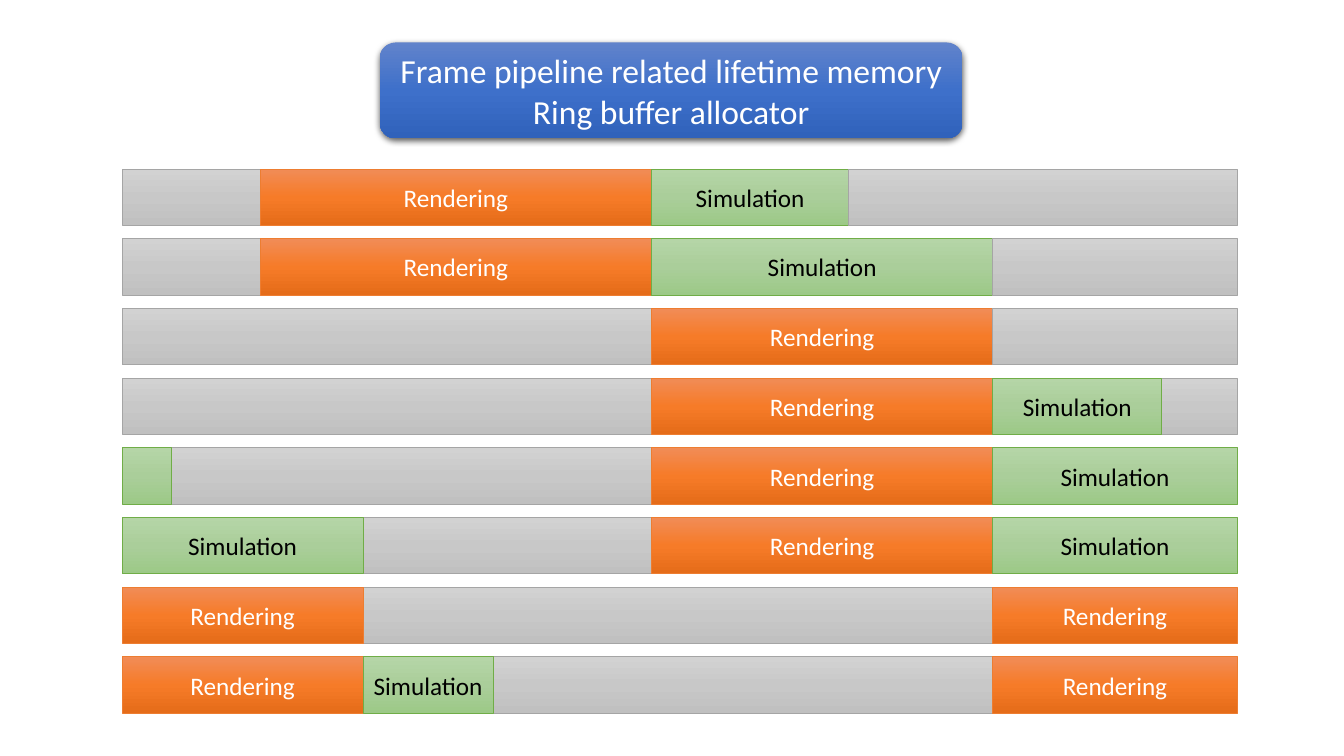
import copy

import pptx
import pptx.dml.color
import pptx.enum.shapes
import pptx.enum.text
import pptx.oxml
import pptx.oxml.ns
import pptx.util

Cm = pptx.util.Cm
FONT = "Calibri"

TITLE_LINES = ("Frame pipeline related lifetime memory", "Ring buffer allocator")
TITLE_BOX = (9.57, 1.07, 14.69, 2.42)
TITLE_GRADIENT = ("6183CB", "3E70CA", "3062BB")

# Kind of segment: label, gradient, outline, text colour
FREE = ("", ("D2D2D2", "C8C8C8", "C0C0C0"), "A5A5A5", "FFFFFF")
RENDERING = ("Rendering", ("F18C57", "F67B28", "E56C19"), "ED7D31", "FFFFFF")
SIMULATION = ("Simulation", ("B5D5A7", "AACE9A", "9CC987"), "70AD47", "000000")
WRAPPED = ("",) + SIMULATION[1:]

# Positions in the ring buffer where segments meet, in cm
START, WRAP_END, FIRST, SECOND, SECOND_PART = 3.08, 4.31, 6.56, 9.15, 12.43
MIDDLE, MIDDLE_PART, LATE, LATE_PART, END = 16.42, 21.39, 25.02, 29.28, 31.18

ROW_TOP, ROW_PITCH, ROW_HEIGHT = 4.26, 1.756, 1.42

# One row per moment, segments from back to front
ROWS = (
    ((FREE, START, FIRST), (RENDERING, FIRST, MIDDLE),
     (SIMULATION, MIDDLE, MIDDLE_PART), (FREE, MIDDLE_PART, END)),
    ((FREE, START, FIRST), (RENDERING, FIRST, MIDDLE),
     (SIMULATION, MIDDLE, LATE), (FREE, LATE, END)),
    ((FREE, START, MIDDLE), (RENDERING, MIDDLE, LATE), (FREE, LATE, END)),
    ((FREE, START, MIDDLE), (RENDERING, MIDDLE, LATE),
     (FREE, LATE_PART, END), (SIMULATION, LATE, LATE_PART)),
    ((FREE, WRAP_END, MIDDLE), (RENDERING, MIDDLE, LATE),
     (SIMULATION, LATE, END), (WRAPPED, START, WRAP_END)),
    ((FREE, SECOND, MIDDLE), (RENDERING, MIDDLE, LATE),
     (SIMULATION, LATE, END), (SIMULATION, START, SECOND)),
    ((FREE, SECOND, LATE), (RENDERING, LATE, END), (RENDERING, START, SECOND)),
    ((FREE, SECOND_PART, LATE), (RENDERING, LATE, END),
     (RENDERING, START, SECOND), (SIMULATION, SECOND, SECOND_PART)),
)


def rgb(colour):
    return pptx.dml.color.RGBColor.from_string(colour)


def fill_gradient(shape, colours):
    """Fill the shape from top to bottom with three evenly spaced colours."""
    shape.fill.gradient()
    shape.fill.gradient_angle = 270
    stop_list = shape.element.spPr.find(".//" + pptx.oxml.ns.qn("a:gsLst"))
    stop_list.append(copy.deepcopy(stop_list[0]))
    for stop, position, colour in zip(shape.fill.gradient_stops, (0, 0.5, 1), colours):
        stop.position = position
        stop.color.rgb = rgb(colour)


def add_block(slide, kind, box, gradient):
    shape = slide.shapes.add_shape(kind, *(Cm(length) for length in box))
    shape.shadow.inherit = False
    fill_gradient(shape, gradient)
    return shape


def write_text(shape, lines, size, colour):
    frame = shape.text_frame
    frame.word_wrap = True
    frame.auto_size = pptx.enum.text.MSO_AUTO_SIZE.NONE
    frame.vertical_anchor = pptx.enum.text.MSO_ANCHOR.MIDDLE
    for index, line in enumerate(lines):
        paragraph = frame.add_paragraph() if index else frame.paragraphs[0]
        paragraph.alignment = pptx.enum.text.PP_ALIGN.CENTER
        run = paragraph.add_run()
        run.text = line
        run.font.name = FONT
        run.font.size = pptx.util.Pt(size)
        run.font.color.rgb = rgb(colour)


def add_shadow(shape):
    effects = shape.element.spPr.find(pptx.oxml.ns.qn("a:effectLst"))
    effects.append(pptx.oxml.parse_xml(
        f'<a:outerShdw {pptx.oxml.ns.nsdecls("a")} blurRad="57150" dist="19050" '
        'dir="5400000" algn="ctr" rotWithShape="0"><a:srgbClr val="000000">'
        '<a:alpha val="63000"/></a:srgbClr></a:outerShdw>'))


def add_title(slide):
    panel = add_block(slide, pptx.enum.shapes.MSO_SHAPE.ROUNDED_RECTANGLE,
                      TITLE_BOX, TITLE_GRADIENT)
    panel.line.fill.background()
    add_shadow(panel)
    # The title text sits in front of its panel
    title = slide.shapes.title
    title.left, title.top, title.width, title.height = (Cm(length) for length in TITLE_BOX)
    write_text(title, TITLE_LINES, 24, "FFFFFF")
    panel.element.addnext(title.element)


def add_segment(slide, kind, start, end, top):
    label, gradient, outline, text_colour = kind
    segment = add_block(slide, pptx.enum.shapes.MSO_SHAPE.RECTANGLE,
                        (start, top, end - start, ROW_HEIGHT), gradient)
    segment.line.color.rgb = rgb(outline)
    segment.line.width = pptx.util.Pt(0.5)
    if label:
        write_text(segment, (label,), 18, text_colour)


def main():
    presentation = pptx.Presentation()
    presentation.slide_width = Cm(33.87)
    presentation.slide_height = Cm(19.05)
    title_only = presentation.slide_layouts[5]
    slide = presentation.slides.add_slide(title_only)

    # Heading
    add_title(slide)

    # Ring buffer over time
    for index, row in enumerate(ROWS):
        for kind, start, end in row:
            add_segment(slide, kind, start, end, ROW_TOP + index * ROW_PITCH)

    presentation.save("out.pptx")


if __name__ == "__main__":
    main()
